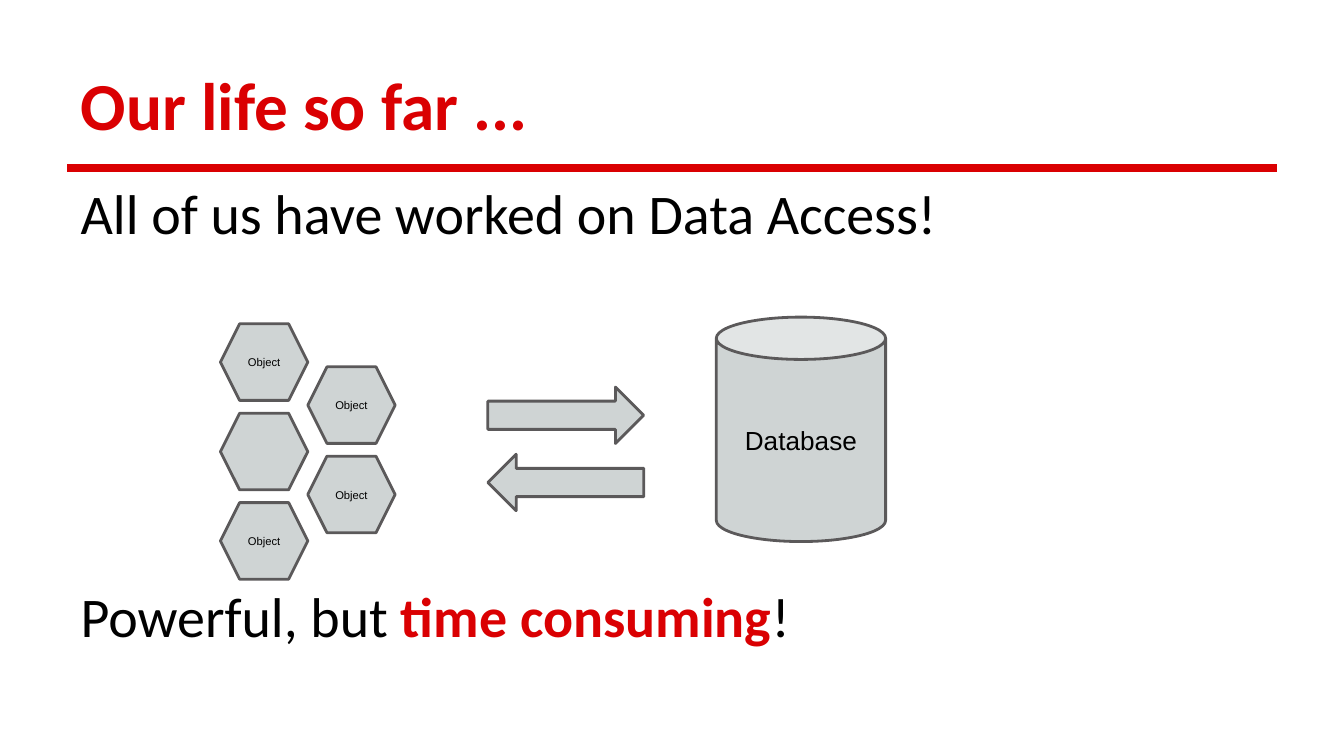
from dataclasses import dataclass

from lxml.etree import SubElement
from pptx import Presentation
from pptx.dml.color import RGBColor
from pptx.enum.shapes import MSO_CONNECTOR, MSO_SHAPE as Preset
from pptx.enum.text import MSO_ANCHOR as Anchor, MSO_AUTO_SIZE, PP_ALIGN as Align
from pptx.oxml.ns import qn
from pptx.util import Inches, Pt


@dataclass(frozen=True)
class Theme:
    red: RGBColor = RGBColor(0xDA, 0x00, 0x02)
    black: RGBColor = RGBColor(0x00, 0x00, 0x00)
    fill: RGBColor = RGBColor(0xCF, 0xD4, 0xD4)
    outline: RGBColor = RGBColor(0x5B, 0x59, 0x5A)
    heading_font: str = "Calibri"
    diagram_font: str = "Arial"
    title_size: int = 36
    body_size: int = 30
    database_size: int = 14
    object_size: int = 6
    diagram_gap: int = 180


THEME = Theme()
WIDTH = 10
HEIGHT = WIDTH * 9 / 16
MARGIN = 0.05 * WIDTH
CONTENT_WIDTH = WIDTH - 2 * MARGIN

TITLE = "Our life so far ..."
STATEMENTS = [
    [("All of us have worked on Data Access!", False)],
    [("Powerful, but ", False), ("time consuming", True), ("!", False)],
]
OBJECTS = [
    (0, 0, "Object"),
    (1, 0, "Object"),
    (1, 1, "Object"),
    (0, 1, ""),
    (0, 2, "Object"),
]
ARROW_ROTATIONS = [0, 180]

HONEYCOMB_LEFT, HONEYCOMB_TOP, HONEYCOMB_HEIGHT = 1.64, 2.41, 1.9
HEXAGON_WIDTH, HEXAGON_HEIGHT = 0.65, 0.57
ROW_PITCH = (HONEYCOMB_HEIGHT - HEXAGON_HEIGHT) / 2
COLUMN_DROP = 0.32
ARROWS_LEFT, ARROWS_TOP, ARROW_PITCH = 3.63, 2.88, 0.5
ARROW_SIZE = (1.16, 0.42)
DATABASE_BOX = (5.33, 2.36, 1.26, 1.67)


def inches(*lengths):
    return [Inches(length) for length in lengths]


def style(run, font, size, color, bold=False):
    run.font.name = font
    run.font.size = Pt(size)
    run.font.color.rgb = color
    run.font.bold = bold


def place(placeholder, box, anchor):
    placeholder.left, placeholder.top, placeholder.width, placeholder.height = inches(*box)
    frame = placeholder.text_frame
    frame.auto_size = MSO_AUTO_SIZE.NONE
    frame.word_wrap = True
    frame.vertical_anchor = anchor
    frame.margin_left = frame.margin_right = Inches(0.1)
    frame.margin_top = frame.margin_bottom = Inches(0.1)
    return frame


def add_rule(slide):
    rule = slide.shapes.add_connector(
        MSO_CONNECTOR.STRAIGHT, *inches(MARGIN, 1.25, WIDTH - MARGIN, 1.25))
    rule.line.color.rgb = THEME.red
    rule.line.width = Pt(4)
    SubElement(rule._element.spPr, qn("a:effectLst"))


def add_title(slide):
    frame = place(slide.shapes.title, (MARGIN, 0.23, CONTENT_WIDTH, 0.94), Anchor.BOTTOM)
    frame.text = TITLE
    heading = frame.paragraphs[0]
    heading.alignment = Align.LEFT
    style(heading.runs[0], THEME.heading_font, THEME.title_size, THEME.red, True)


def add_statements(slide):
    frame = place(slide.placeholders[1], (MARGIN, 1.23, CONTENT_WIDTH, 4.07), Anchor.TOP)
    for index, phrases in enumerate(STATEMENTS):
        statement = frame.add_paragraph() if index else frame.paragraphs[0]
        statement.space_before = Pt(index * THEME.diagram_gap)
        properties = statement._p.get_or_add_pPr()
        properties.set("marL", "0")
        properties.set("indent", "0")
        SubElement(properties, qn("a:buNone"))
        for words, stressed in phrases:
            phrase = statement.add_run()
            phrase.text = words
            style(phrase, THEME.heading_font, THEME.body_size,
                  THEME.red if stressed else THEME.black, stressed)


def add_part(slide, preset, box, label="", size=THEME.object_size):
    part = slide.shapes.add_shape(preset, *inches(*box))
    part.shadow.inherit = False
    part.fill.solid()
    part.fill.fore_color.rgb = THEME.fill
    part.line.color.rgb = THEME.outline
    part.line.width = Pt(1.5)
    if label:
        frame = part.text_frame
        frame.margin_left = frame.margin_right = 0
        frame.vertical_anchor = Anchor.MIDDLE
        frame.text = label
        frame.paragraphs[0].alignment = Align.CENTER
        style(frame.paragraphs[0].runs[0], THEME.diagram_font, size, THEME.black)
    return part


def add_diagram(slide):
    add_part(slide, Preset.CAN, DATABASE_BOX, "Database", THEME.database_size)
    for column, row, label in OBJECTS:
        left = HONEYCOMB_LEFT + column * HEXAGON_WIDTH
        top = HONEYCOMB_TOP + row * ROW_PITCH + column * COLUMN_DROP
        add_part(slide, Preset.HEXAGON, (left, top, HEXAGON_WIDTH, HEXAGON_HEIGHT), label)
    for row, rotation in enumerate(ARROW_ROTATIONS):
        box = (ARROWS_LEFT, ARROWS_TOP + row * ARROW_PITCH, *ARROW_SIZE)
        add_part(slide, Preset.RIGHT_ARROW, box).rotation = rotation


def main():
    deck = Presentation()
    deck.slide_width, deck.slide_height = inches(WIDTH, HEIGHT)
    slide = deck.slides.add_slide(deck.slide_layouts[1])
    add_rule(slide)
    add_title(slide)
    add_statements(slide)
    add_diagram(slide)
    deck.save("out.pptx")


if __name__ == "__main__":
    main()
